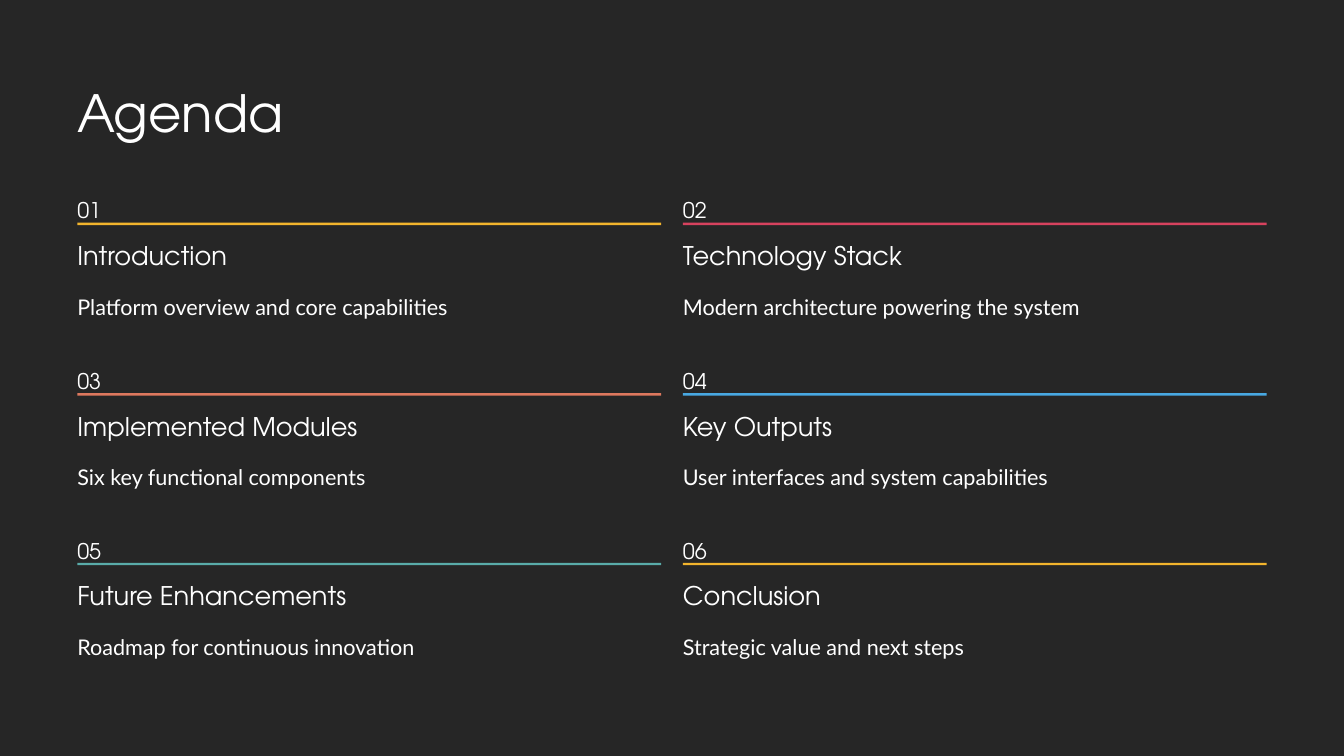
from pptx import Presentation
from pptx.dml.color import RGBColor
from pptx.enum.shapes import MSO_SHAPE
from pptx.enum.text import MSO_ANCHOR, MSO_AUTO_SIZE, PP_ALIGN
from pptx.util import Inches, Pt

BACKGROUND = RGBColor(0x26, 0x26, 0x26)
WHITE = RGBColor(0xFF, 0xFF, 0xFF)
AMBER = RGBColor(0xF2, 0xB4, 0x2D)
CRIMSON = RGBColor(0xD7, 0x42, 0x5E)
CORAL = RGBColor(0xDD, 0x78, 0x5E)
BLUE = RGBColor(0x48, 0xA8, 0xE2)
TEAL = RGBColor(0x59, 0xAB, 0xA9)

HEADING_FONT = "TeX Gyre Adventor"
BODY_FONT = "Lato"

COLUMN_LEFTS = (0.92, 8.13)
RULE_TOPS = (2.65, 4.68, 6.70)
COLUMN_WIDTH = 6.95

AGENDA = (
    ("Introduction", "Platform overview and core capabilities", AMBER),
    ("Technology Stack", "Modern architecture powering the system", CRIMSON),
    ("Implemented Modules", "Six key functional components", CORAL),
    ("Key Outputs", "User interfaces and system capabilities", BLUE),
    ("Future Enhancements", "Roadmap for continuous innovation", TEAL),
    ("Conclusion", "Strategic value and next steps", AMBER),
)


def write_line(frame, text, font_name, size, spacing):
    frame.text = text
    frame.word_wrap = False
    frame.auto_size = MSO_AUTO_SIZE.NONE
    frame.vertical_anchor = MSO_ANCHOR.TOP
    frame.margin_left = frame.margin_right = 0
    frame.margin_top = frame.margin_bottom = 0
    line = frame.paragraphs[0]
    line.alignment = PP_ALIGN.LEFT
    line.line_spacing = Pt(spacing)
    font = line.runs[0].font
    font.name = font_name
    font.size = Pt(size)
    font.color.rgb = WHITE


def add_label(slide, text, left, top, width, height, font_name, size, spacing):
    label = slide.shapes.add_textbox(
        Inches(left), Inches(top), Inches(width), Inches(height))
    write_line(label.text_frame, text, font_name, size, spacing)


def add_rule(slide, left, top, color):
    rule = slide.shapes.add_shape(
        MSO_SHAPE.RECTANGLE, Inches(left), Inches(top),
        Inches(COLUMN_WIDTH), Inches(0.03))
    rule.shadow.inherit = False
    rule.fill.solid()
    rule.fill.fore_color.rgb = color
    rule.line.fill.background()


def add_title(slide, text):
    title = slide.shapes.title
    title.left, title.top = Inches(COLUMN_LEFTS[0]), Inches(0.94)
    title.width, title.height = Inches(6.16), Inches(0.77)
    write_line(title.text_frame, text, HEADING_FONT, 44, 55)


def add_agenda_item(slide, index, heading, summary, color):
    row, column = divmod(index, len(COLUMN_LEFTS))
    left, top = COLUMN_LEFTS[column], RULE_TOPS[row]
    add_label(slide, f"{index + 1:02d}", left, top - 0.41, 0.54, 0.39,
              HEADING_FONT, 18.5, 30)
    add_rule(slide, left, top, color)
    add_label(slide, heading, left, top + 0.19, 3.08, 0.38,
              HEADING_FONT, 22, 27.5)
    add_label(slide, summary, left, top + 0.74, COLUMN_WIDTH, 0.42,
              BODY_FONT, 18.5, 30)


def main():
    deck = Presentation()
    deck.slide_width, deck.slide_height = Inches(16), Inches(9)
    slide = deck.slides.add_slide(deck.slide_layouts[5])
    slide.background.fill.solid()
    slide.background.fill.fore_color.rgb = BACKGROUND
    add_title(slide, "Agenda")
    for index, (heading, summary, color) in enumerate(AGENDA):
        add_agenda_item(slide, index, heading, summary, color)
    deck.save("out.pptx")


if __name__ == "__main__":
    main()
